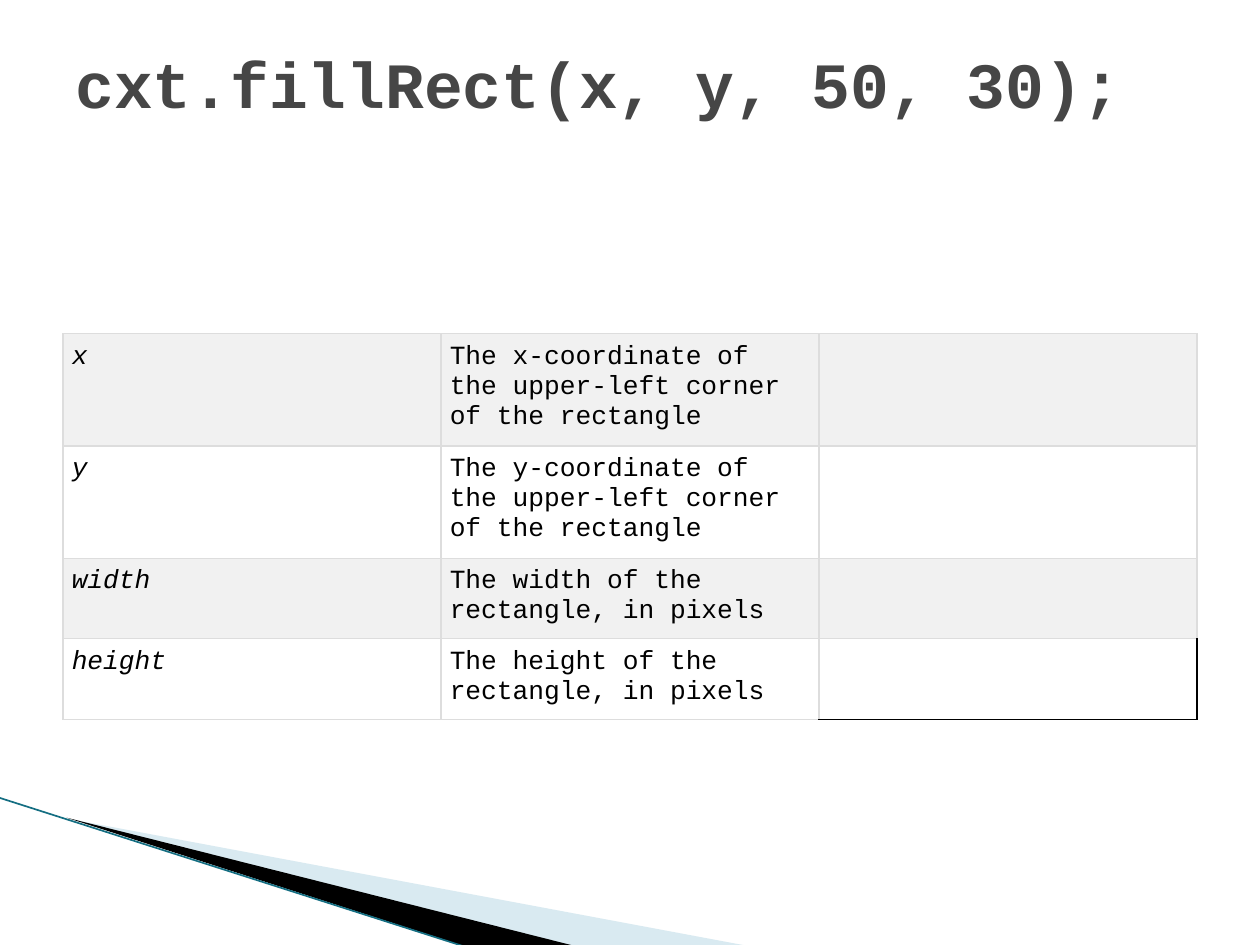
import pptx
import pptx.dml.color
import pptx.enum.dml
import pptx.enum.shapes
import pptx.enum.text
import pptx.oxml
import pptx.oxml.ns
import pptx.util

Inches, Pt = pptx.util.Inches, pptx.util.Pt
RGBColor = pptx.dml.color.RGBColor
qn = pptx.oxml.ns.qn

TITLE = "cxt.fillRect(x, y, 50, 30);"
PARAMETERS = [
    ("x", "The x-coordinate of the upper-left corner of the rectangle"),
    ("y", "The y-coordinate of the upper-left corner of the rectangle"),
    ("width", "The width of the rectangle, in pixels"),
    ("height", "The height of the rectangle, in pixels"),
]
ROW_HEIGHTS = [0.85, 0.87, 0.63, 0.63]
COLUMNS, COLUMN_WIDTH = 3, 3

BLACK = RGBColor(0x00, 0x00, 0x00)
WHITE = RGBColor(0xFF, 0xFF, 0xFF)
BAND = RGBColor(0xF1, 0xF1, 0xF1)
BORDER = RGBColor(0xDD, 0xDD, 0xDD)
TITLE_GREY = RGBColor(0x46, 0x46, 0x46)
PALE_BLUE = RGBColor(0xA0, 0xCB, 0xDC)
TEAL = RGBColor(0x14, 0x6E, 0x82)

TITLE_FONT = {"name": "Courier New", "size": Pt(36.9), "bold": True}
CELL_FONT = {"name": "Courier New", "size": Pt(15)}

# points, colour, opacity in percent
WEDGES = [
    ([(0.55, 6.5), (5.95, 7.51), (4.56, 7.51)], PALE_BLUE, 40),
    ([(0.53, 6.49), (4.57, 7.51), (3.72, 7.52)], BLACK, 100),
]
EDGE = [(-0.01, 6.33), (3.71, 7.52)]


def add_text(tf, text, font, color, italic=False):
    r = tf.paragraphs[0].add_run()
    r.text = text
    for name, value in font.items():
        setattr(r.font, name, value)
    r.font.italic = italic
    r.font.color.rgb = color


def add_wedge(s, points, color, opacity):
    builder = s.shapes.build_freeform(
        *(Inches(v) for v in points[0]), scale=1.0)
    builder.add_line_segments([(Inches(x), Inches(y)) for x, y in points[1:]])
    sp = builder.convert_to_shape()
    sp.shadow.inherit = False
    sp.fill.solid()
    sp.fill.fore_color.rgb = color
    sp.line.fill.background()
    if opacity < 100:
        clr = sp.fill._xPr.find(".//" + qn("a:srgbClr"))
        clr.append(pptx.oxml.parse_xml(
            f'<a:alpha {pptx.oxml.ns.nsdecls("a")} val="{opacity * 1000}"/>'))


def set_borders(cell, colors):
    """Draw the cell's sides, given as a dict of side letter to colour."""
    tc_pr = cell._tc.get_or_add_tcPr()
    for i, (side, color) in enumerate(colors.items()):
        tc_pr.insert(i, pptx.oxml.parse_xml(
            f'<a:ln{side} {pptx.oxml.ns.nsdecls("a")} w="{Pt(0.75)}">'
            f'<a:solidFill><a:srgbClr val="{color}"/></a:solidFill>'
            f'</a:ln{side}>'))


def add_parameter_table(s):
    rows = len(PARAMETERS)
    table = s.shapes.add_table(
        rows, COLUMNS, Inches(0.5), Inches(2.65),
        Inches(COLUMNS * COLUMN_WIDTH), Inches(sum(ROW_HEIGHTS))).table
    table.first_row = table.horz_banding = False
    for column in table.columns:
        column.width = Inches(COLUMN_WIDTH)
    for i, (texts, height) in enumerate(zip(PARAMETERS, ROW_HEIGHTS)):
        table.rows[i].height = Inches(height)
        for j in range(COLUMNS):
            cell = table.cell(i, j)
            cell.fill.solid()
            cell.fill.fore_color.rgb = WHITE if i % 2 else BAND
            for side in ("left", "top", "right", "bottom"):
                setattr(cell, f"margin_{side}", Inches(0.07))
            if j < len(texts):
                add_text(cell.text_frame, texts[j], CELL_FONT, BLACK, j == 0)
            is_last = (i, j) == (rows - 1, COLUMNS - 1)
            outer = BLACK if is_last else BORDER
            set_borders(cell, {"L": BORDER, "R": outer, "T": BORDER, "B": outer})


def main():
    prs = pptx.Presentation()
    prs.slide_width, prs.slide_height = Inches(10), Inches(7.5)
    s = prs.slides.add_slide(prs.slide_layouts[6])

    for wedge in WEDGES:
        add_wedge(s, *wedge)
    edge = s.shapes.add_connector(
        pptx.enum.shapes.MSO_CONNECTOR.STRAIGHT,
        *(Inches(v) for point in EDGE for v in point))
    edge.line.color.rgb = TEAL
    edge.line.width = Pt(0.95)
    edge._element.spPr.append(pptx.oxml.parse_xml(
        f'<a:effectLst {pptx.oxml.ns.nsdecls("a")}/>'))

    title = s.shapes.add_textbox(Inches(0.5), Inches(0.3), Inches(9), Inches(1.25))
    tf = title.text_frame
    tf.word_wrap = True
    tf.vertical_anchor = pptx.enum.text.MSO_ANCHOR.TOP
    add_text(tf, TITLE, TITLE_FONT, TITLE_GREY)

    add_parameter_table(s)
    prs.save("out.pptx")


if __name__ == "__main__":
    main()
